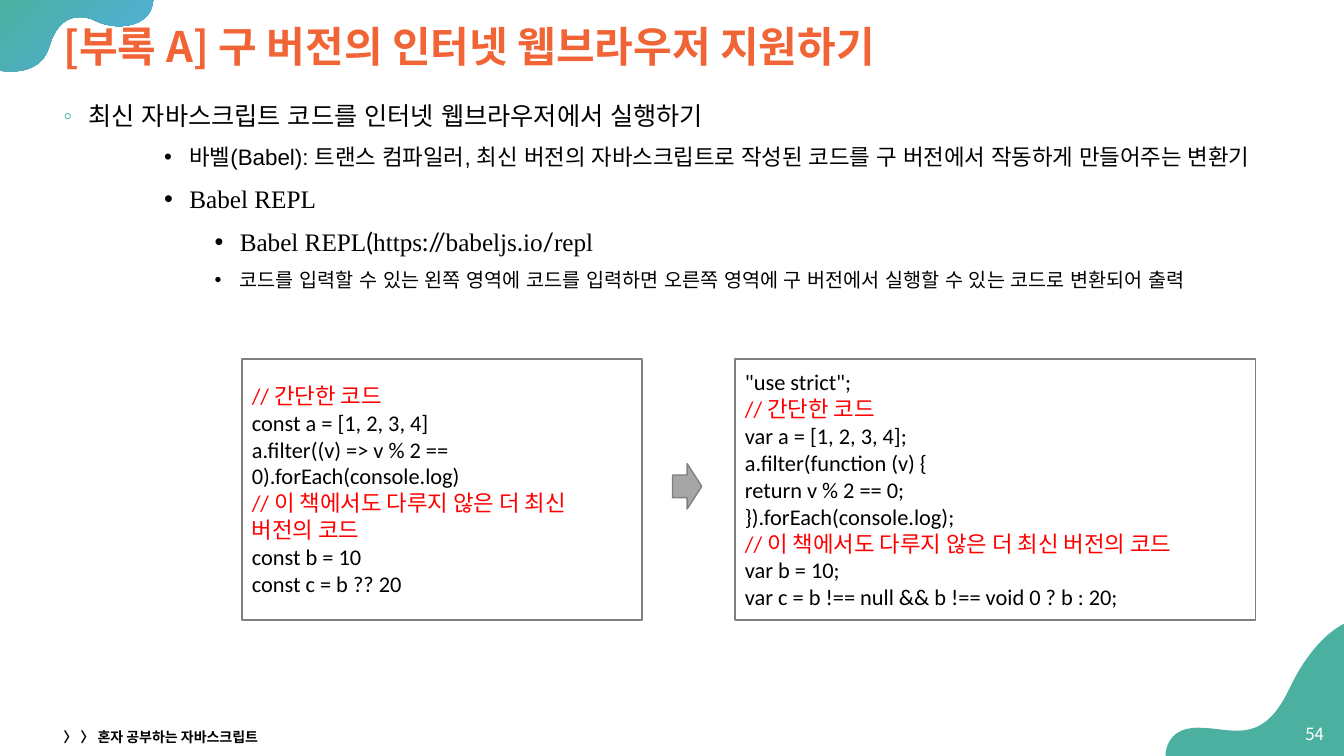
from lxml.etree import SubElement
from pptx import Presentation
from pptx.dml.color import RGBColor
from pptx.enum.shapes import MSO_SHAPE
from pptx.enum.text import MSO_ANCHOR, PP_ALIGN
from pptx.oxml.ns import qn
from pptx.util import Inches, Pt

# Content
TITLE = "[부록 A] 구 버전의 인터넷 웹브라우저 지원하기"
FOOTER = "〉 〉 혼자 공부하는 자바스크립트"
PAGE_NUMBER = "54"
ADDRESS_PARTS = ["Babel REPL", "(", "https", "://", "babeljs", ".", "io", "/", "repl"]
SERIF, SANS, HEADING, CODE = "Times New Roman", "Arial", "Noto Sans CJK KR", "Calibri"
# Each bullet: level, left margin in inches, size, [(text, font), ...]
BULLETS = [
    (0, 0.25, 18, [("최신 자바스크립트 코드를 인터넷 웹브라우저에서 실행하기", SANS)]),
    (2, 1.25, 16, [("바벨(Babel): 트랜스 컴파일러, 최신 버전의 자바스크립트로 작성된 "
                    "코드를 구 버전에서 작동하게 만들어주는 변환기", SANS)]),
    (2, 1.25, 18, [("Babel REPL", SERIF)]),
    (3, 1.75, 18, [(part, "Lato" if index % 2 else SERIF)
                   for index, part in enumerate(ADDRESS_PARTS)]),
    (3, 1.75, 14, [("코드를 입력할 수 있는 왼쪽 영역에 코드를 입력하면 오른쪽 영역에 "
                    "구 버전에서 실행할 수 있는 코드로 변환되어 출력", SANS)]),
]
MODERN_CODE = [
    "// 간단한 코드",
    "const a = [1, 2, 3, 4]",
    "a.filter((v) => v % 2 == 0).forEach(console.log)",
    "// 이 책에서도 다루지 않은 더 최신 버전의 코드",
    "const b = 10",
    "const c = b ?? 20",
]
CONVERTED_CODE = [
    '"use strict";',
    "// 간단한 코드",
    "var a = [1, 2, 3, 4];",
    "a.filter(function (v) {",
    "return v % 2 == 0;",
    "}).forEach(console.log);",
    "// 이 책에서도 다루지 않은 더 최신 버전의 코드",
    "var b = 10;",
    "var c = b !== null && b !== void 0 ? b : 20;",
]
COLORS = {"teal": "4BB0A0", "blue": "52AEE1", "orange": "F06436", "black": "000000",
          "white": "FFFFFF", "red": "FF0000", "border": "808080", "arrow": "A6A6A6"}

# Corner waves: a start point, then segments of two (line) or six (curve) numbers
TOP_WAVE = [
    (1.52, -0.02), (-0.01, -0.02), (-0.01, 0.7),
    (-0.01, 0.7, 0.04, 0.71, 0.11, 0.71), (0.24, 0.71, 0.43, 0.67, 0.49, 0.46),
    (0.56, 0.23, 0.68, 0.17, 0.79, 0.17), (0.84, 0.17, 0.89, 0.18, 0.93, 0.2),
    (1.01, 0.24, 1.1, 0.26, 1.18, 0.26), (1.37, 0.26, 1.52, 0.17, 1.52, -0.02),
]
BOTTOM_WAVE = [
    (13.35, 6.18),
    (13.35, 6.18, 13.04, 6.29, 12.78, 6.85), (12.62, 7.18, 12.45, 7.25, 12.27, 7.25),
    (12.15, 7.25, 12.02, 7.22, 11.88, 7.22), (11.54, 7.22, 11.56, 7.51, 11.56, 7.51),
    (13.35, 7.51), (13.35, 6.18),
]

# Layout in inches
WIDTH, HEIGHT = 13.33, 7.5
MARGIN = 0.53
CONTENT_WIDTH = 12.34
CODE_TOP, CODE_HEIGHT = 3.56, 2.59
MODERN_LEFT, MODERN_WIDTH = 2.4, 3.97
CONVERTED_LEFT, CONVERTED_WIDTH = 7.29, 5.16
ARROW_BOUNDS = (6.67, 4.6, 0.29, 0.45)


def color(name):
    return RGBColor.from_string(COLORS[name])


def box(left, top, width, height):
    return [Inches(length) for length in (left, top, width, height)]


def format_run(run, font_name, size, color_name, bold=False):
    font = run.font
    font.name, font.size, font.bold = font_name, Pt(size), bold
    font.color.rgb = color(color_name)
    SubElement(run.font._element, qn("a:ea")).set("typeface", font_name)


def add_bullet(paragraph, margin, character, color_name):
    properties = paragraph._p.get_or_add_pPr()
    properties.set("marL", str(Inches(margin)))
    properties.set("indent", str(Inches(-0.25)))
    bullet_color = SubElement(properties, qn("a:buClr"))
    SubElement(bullet_color, qn("a:srgbClr")).set("val", COLORS[color_name])
    SubElement(properties, qn("a:buFont")).set("typeface", SANS)
    SubElement(properties, qn("a:buChar")).set("char", character)


def add_label(slide, bounds, text, size, color_name, bold=False, align=PP_ALIGN.LEFT):
    text_frame = slide.shapes.add_textbox(*box(*bounds)).text_frame
    text_frame.text = text
    text_frame.word_wrap = True
    text_frame.vertical_anchor = MSO_ANCHOR.MIDDLE
    text_frame.paragraphs[0].alignment = align
    format_run(text_frame.paragraphs[0].runs[0], HEADING, size, color_name, bold)


def add_wave(slide, segments):
    ends = [(Inches(segment[-2]), Inches(segment[-1])) for segment in segments]
    builder = slide.shapes.build_freeform(*ends[0], scale=1.0)
    builder.add_line_segments(ends[1:], close=True)
    wave = builder.convert_to_shape()

    # Bend the straight segments that have control points
    lines = list(wave._element.iter(qn("a:lnTo")))
    for line, segment in zip(lines, segments[1:]):
        if len(segment) == 6:
            line.tag = qn("a:cubicBezTo")
            for position in (0, 2):
                control = SubElement(line, qn("a:pt"))
                control.set("x", str(Inches(segment[position]) - wave.left))
                control.set("y", str(Inches(segment[position + 1]) - wave.top))
                line.insert(position // 2, control)

    wave.shadow.inherit = False
    wave.line.fill.background()
    wave.fill.solid()
    wave.fill.fore_color.rgb = color("teal")
    return wave


def add_outlined_shape(slide, kind, bounds):
    shape = slide.shapes.add_shape(kind, *box(*bounds))
    shape.shadow.inherit = False
    shape.fill.background()
    shape.line.color.rgb = color("border")
    shape.line.width = Pt(1)
    return shape


def add_code_box(slide, left, width, lines):
    shape = add_outlined_shape(slide, MSO_SHAPE.RECTANGLE,
                               (left, CODE_TOP, width, CODE_HEIGHT))
    text_frame = shape.text_frame
    text_frame.text = "\n".join(lines)
    text_frame.word_wrap = True
    text_frame.vertical_anchor = MSO_ANCHOR.MIDDLE
    for paragraph in text_frame.paragraphs:
        paragraph.alignment = PP_ALIGN.LEFT
        line_color = "red" if paragraph.text.startswith("//") else "black"
        format_run(paragraph.runs[0], CODE, 16, line_color)


def main():
    presentation = Presentation()
    presentation.slide_width, presentation.slide_height = Inches(WIDTH), Inches(HEIGHT)
    slide = presentation.slides.add_slide(presentation.slide_layouts[5])

    # Corner waves
    top_wave = add_wave(slide, TOP_WAVE)
    top_wave.fill.gradient()
    top_wave.fill.gradient_angle = 315
    for stop, name in zip(top_wave.fill.gradient_stops, ("teal", "blue")):
        stop.color.rgb = color(name)
    add_wave(slide, BOTTOM_WAVE)

    # Title, kept in front of the waves
    title = slide.shapes.title
    title._element.getparent().append(title._element)
    title.left, title.top, title.width, title.height = box(MARGIN, 0.12, CONTENT_WIDTH, 0.73)
    title.text_frame.text = TITLE
    title.text_frame.vertical_anchor = MSO_ANCHOR.MIDDLE
    heading = title.text_frame.paragraphs[0]
    heading.alignment, heading.line_spacing = PP_ALIGN.LEFT, 0.9
    format_run(heading.runs[0], HEADING, 30, "orange", bold=True)

    # Bullets
    text_frame = slide.shapes.add_textbox(*box(MARGIN, 0.89, CONTENT_WIDTH, 5.81)).text_frame
    text_frame.word_wrap = True
    for index, (level, margin, size, parts) in enumerate(BULLETS):
        paragraph = text_frame.add_paragraph() if index else text_frame.paragraphs[0]
        add_bullet(paragraph, margin, *(("•", "black") if level else ("◦", "teal")))
        paragraph.level, paragraph.line_spacing = level, 1.2
        paragraph.space_before = Pt(5 if index else 0)
        for text, font_name in parts:
            run = paragraph.add_run()
            run.text = text
            format_run(run, font_name, size, "black")

    # Code before and after conversion, with an arrow between
    add_code_box(slide, MODERN_LEFT, MODERN_WIDTH, MODERN_CODE)
    add_code_box(slide, CONVERTED_LEFT, CONVERTED_WIDTH, CONVERTED_CODE)
    arrow = add_outlined_shape(slide, MSO_SHAPE.RIGHT_ARROW, ARROW_BOUNDS)
    arrow.fill.solid()
    arrow.fill.fore_color.rgb = color("arrow")

    # Footer
    add_label(slide, (12.79, 7.08, 0.44, 0.4), PAGE_NUMBER, 12, "white", align=PP_ALIGN.RIGHT)
    add_label(slide, (MARGIN, 7.19, 4.5, 0.24), FOOTER, 10, "black", bold=True)

    presentation.save("out.pptx")


if __name__ == "__main__":
    main()
